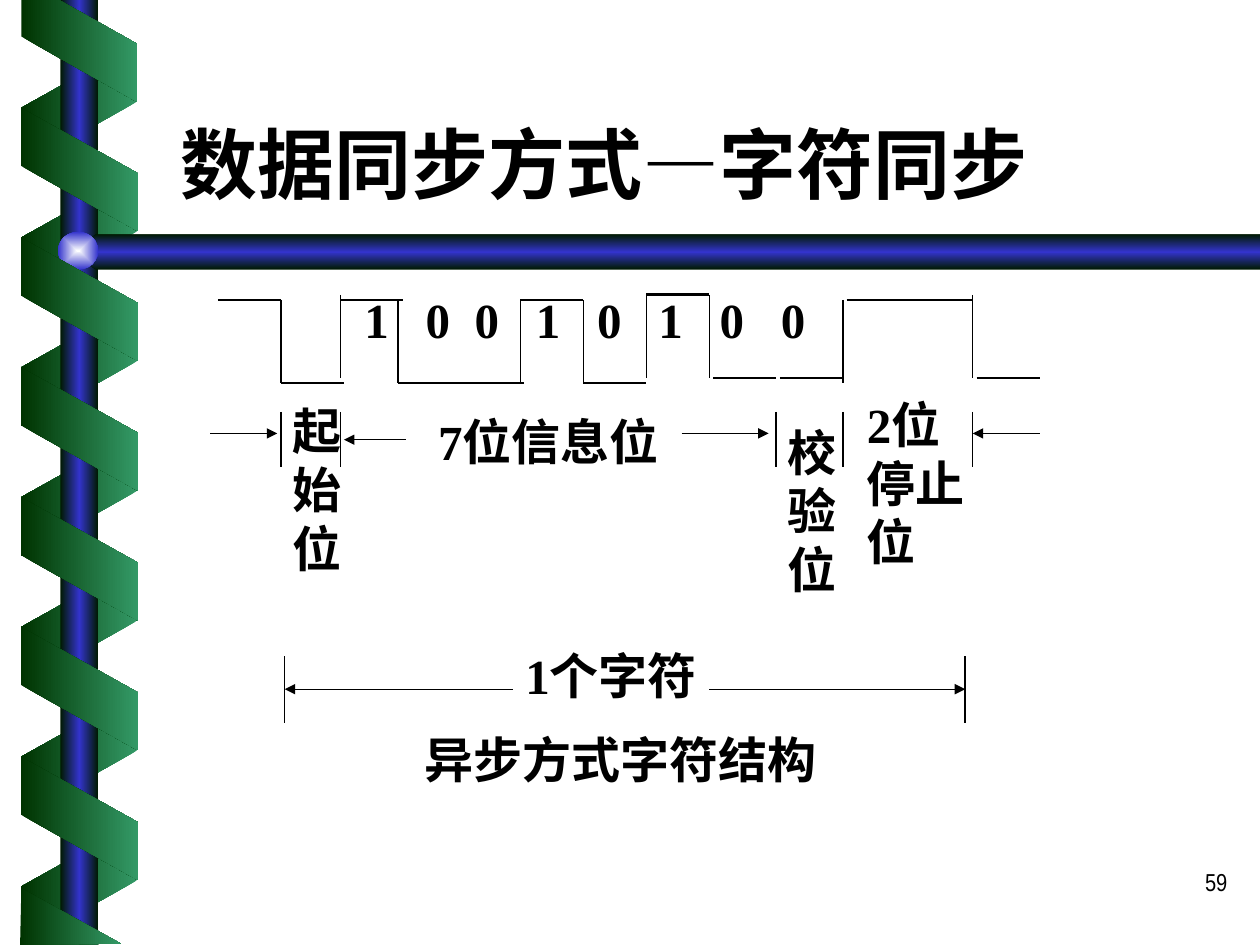
"""Build the slide on character framing in asynchronous data transfer."""
from lxml.etree import SubElement
from pptx import Presentation
from pptx.dml.color import RGBColor
from pptx.enum.shapes import MSO_CONNECTOR, MSO_SHAPE
from pptx.enum.text import MSO_ANCHOR, MSO_AUTO_SIZE, PP_ALIGN
from pptx.oxml import parse_xml
from pptx.oxml.ns import nsdecls, qn
from pptx.util import Pt

SCALE = 9144
COLORS = {"ink": "000000", "paper": "FFFFFF", "leaf": "339966", "pine": "003300",
          "blue": "3333CC", "night": "001A00", "glow": "FEFFFF"}
SERIF = "Times New Roman"
BACK = [(0, "leaf"), (100, "pine")]
FRONT = [(0, "pine"), (100, "leaf")]
TUBE = [(0, "night"), (50, "blue"), (100, "night")]
BALL = [(0, "glow"), (100, "blue")]
LEVELS = [(173, 238), (223, 304), (270, 238), (316, 304), (366, 304),
          (413, 238), (463, 304), (513, 234), (566, 300), (619, 300),
          (672, 238), (722, 238), (775, 300)]
EDGES = [(223, 238), (270, 234), (316, 238), (413, 238), (463, 238),
         (513, 234), (563, 234), (669, 238), (772, 234)]
ARROWS = [(167, 344, 220), (322, 349, 273), (541, 344, 610), (825, 344, 772),
          (563, 547, 766), (407, 547, 226)]
STOPS = [2, 7, 11, 16, 21, 26, 31, 36]


class Sketch:
    """Holds the style and the current slide."""

    def __init__(self, slide):
        self.slide = slide
        self.shapes = slide.shapes

    def px(self, *sizes):
        """Turn px lengths into EMU."""
        return [size * SCALE for size in sizes]

    def color(self, name):
        """Look up a colour."""
        return RGBColor.from_string(COLORS[name])

    def paint(self, shape, stops, angle=0):
        """Give a shape a gradient, centred when the angle is None."""
        shape.shadow.inherit = False
        shape.line.fill.background()
        shape.fill.solid()
        marks = "".join(f'<a:gs pos="{pos * 1000}"><a:srgbClr val="{COLORS[name]}"/></a:gs>'
                        for pos, name in stops)
        way = f'<a:lin ang="{(angle or 0) * 60000}" scaled="0"/>'
        if angle is None:
            way = ('<a:path path="rect"><a:fillToRect l="50000" t="50000" '
                   'r="50000" b="50000"/></a:path>')
        grad = parse_xml(f'<a:gradFill {nsdecls("a")} rotWithShape="0">'
                         f'<a:gsLst>{marks}</a:gsLst>{way}</a:gradFill>')
        props = shape.element.spPr
        props.replace(props.find(qn("a:solidFill")), grad)

    def form(self, kind, box, stops, angle=0):
        """Add a preset shape."""
        shape = self.shapes.add_shape(kind, *self.px(*box))
        self.paint(shape, stops, angle)
        return shape

    def strip(self, top, high, turn, stops, flip=False):
        """Add one slanted ribbon strip."""
        shape = self.form(MSO_SHAPE.PARALLELOGRAM, (14, top, 98, high), stops)
        shape.adjustments[0] = 0.56
        shape.rotation = turn
        if flip:
            shape.element.spPr.xfrm.set("flipH", "1")

    def shard(self, points, stops, angle=0):
        """Add a closed outline."""
        pen = self.shapes.build_freeform(*points[0], scale=SCALE)
        pen.add_line_segments(points[1:], close=True)
        self.paint(pen.convert_to_shape(), stops, angle)

    def line(self, start, end, width=0.75, arrow=False):
        """Add a straight line."""
        link = self.shapes.add_connector(MSO_CONNECTOR.STRAIGHT, *self.px(*start, *end))
        link.line.color.rgb = self.color("ink")
        link.line.width = Pt(width)
        props = link.element.spPr
        if arrow:
            SubElement(props.find(qn("a:ln")), qn("a:tailEnd"), type="triangle")
        SubElement(props, qn("a:effectLst"))

    def add_run(self, para, text, size, font, bold, align):
        """Add one formatted run."""
        para.alignment = align
        run = para.add_run()
        run.text = text
        run.font.size = Pt(size)
        run.font.name = font
        run.font.bold = bold
        run.font.color.rgb = self.color("ink")

    def text(self, box, rows, align, pad=(0, 0), size=28, font=SERIF, bold=True):
        """Add a text box with one paragraph a row."""
        frame = self.shapes.add_textbox(*self.px(*box)).text_frame
        frame.word_wrap = True
        frame.margin_left = frame.margin_right = pad[0] * SCALE
        frame.margin_top = frame.margin_bottom = pad[1] * SCALE
        for i, row in enumerate(rows):
            para = frame.add_paragraph() if i else frame.paragraphs[0]
            self.add_run(para, row, size, font, bold, align)
        return frame

    def bits(self, box, digits):
        """Add the bit values, each at its own tab stop."""
        frame = self.text(box, [], PP_ALIGN.LEFT, (10, 5))
        para = frame.paragraphs[0]
        tabs = SubElement(para._p.get_or_add_pPr(), qn("a:tabLst"))
        for stop in STOPS:
            SubElement(tabs, qn("a:tab"), pos=str(Pt(7 * stop)), algn="l")
        self.add_run(para, "".join("\t" + d for d in digits), 28, SERIF, True, PP_ALIGN.LEFT)

    def title(self, box, text):
        """Place and format the title."""
        shape = self.shapes.title
        shape.left, shape.top, shape.width, shape.height = self.px(*box)
        frame = shape.text_frame
        frame.auto_size = MSO_AUTO_SIZE.NONE
        frame.vertical_anchor = MSO_ANCHOR.BOTTOM
        self.add_run(frame.paragraphs[0], text, 44, SERIF, True, PP_ALIGN.LEFT)


def frame_art(art):
    """Draw the ribbon, pole, bar and ball."""
    for i in range(7):
        art.strip(37 + 103 * i, 92, 90, BACK, True)
    art.form(MSO_SHAPE.RECTANGLE, (48, 0, 30, 750), TUBE)
    art.shard([(1000, 186), (76, 186), (60, 200), (76, 214), (1000, 214)], TUBE, 90)
    art.form(MSO_SHAPE.OVAL, (46, 184, 32, 30), BALL, None)
    for i in range(6):
        art.strip(88 + 103 * i, 93, 270, FRONT)
    art.shard([(17, 0), (17, 29), (109, 81), (109, 35), (47, 0)], FRONT)
    art.shard([(96, 749), (17, 705), (16, 750)], FRONT)


def signal(art):
    """Draw the bit signal with its marks and arrows."""
    for x, y in LEVELS:
        art.line((x, y), (x + 50, y), 1.5)
    marks = [(x, y, 66) for x, y in EDGES]
    marks += [(x, 327, 44) for x in (223, 270, 616, 669, 772)]
    marks += [(x, 521, 53) for x in (226, 766)]
    for x, y, high in marks:
        art.line((x, y), (x, y + high))
    for start, y, end in ARROWS:
        art.line((start, y), (end, y), arrow=True)


def labels(art):
    """Place the labels."""
    mid, just = PP_ALIGN.CENTER, PP_ALIGN.JUSTIFY
    art.bits((260, 225, 443, 84), "10010100")
    art.text((232, 318, 53, 208), "起始位", just)
    art.text((326, 327, 218, 84), ["7位信息位"], mid)
    art.text((625, 335, 56, 194), "校验位", just)
    art.text((688, 313, 84, 216), ["2位", "停止", "位"], just)
    art.text((376, 512, 218, 84), ["1个字符"], mid)
    art.text((226, 574, 533, 93), ["异步方式字符结构"], mid, (10, 5))
    art.text((776, 683, 208, 50), ["59"], PP_ALIGN.RIGHT, (10, 5), 14, "Arial Narrow", False)


def main():
    """Build and save the deck."""
    deck = Presentation()
    deck.slide_width, deck.slide_height = 1000 * SCALE, 750 * SCALE
    art = Sketch(deck.slides.add_slide(deck.slide_layouts[5]))
    back = art.slide.background.fill
    back.solid()
    back.fore_color.rgb = art.color("paper")
    frame_art(art)
    art.title((133, 46, 850, 125), "数据同步方式—字符同步")
    signal(art)
    labels(art)
    deck.save("out.pptx")


if __name__ == "__main__":
    main()
